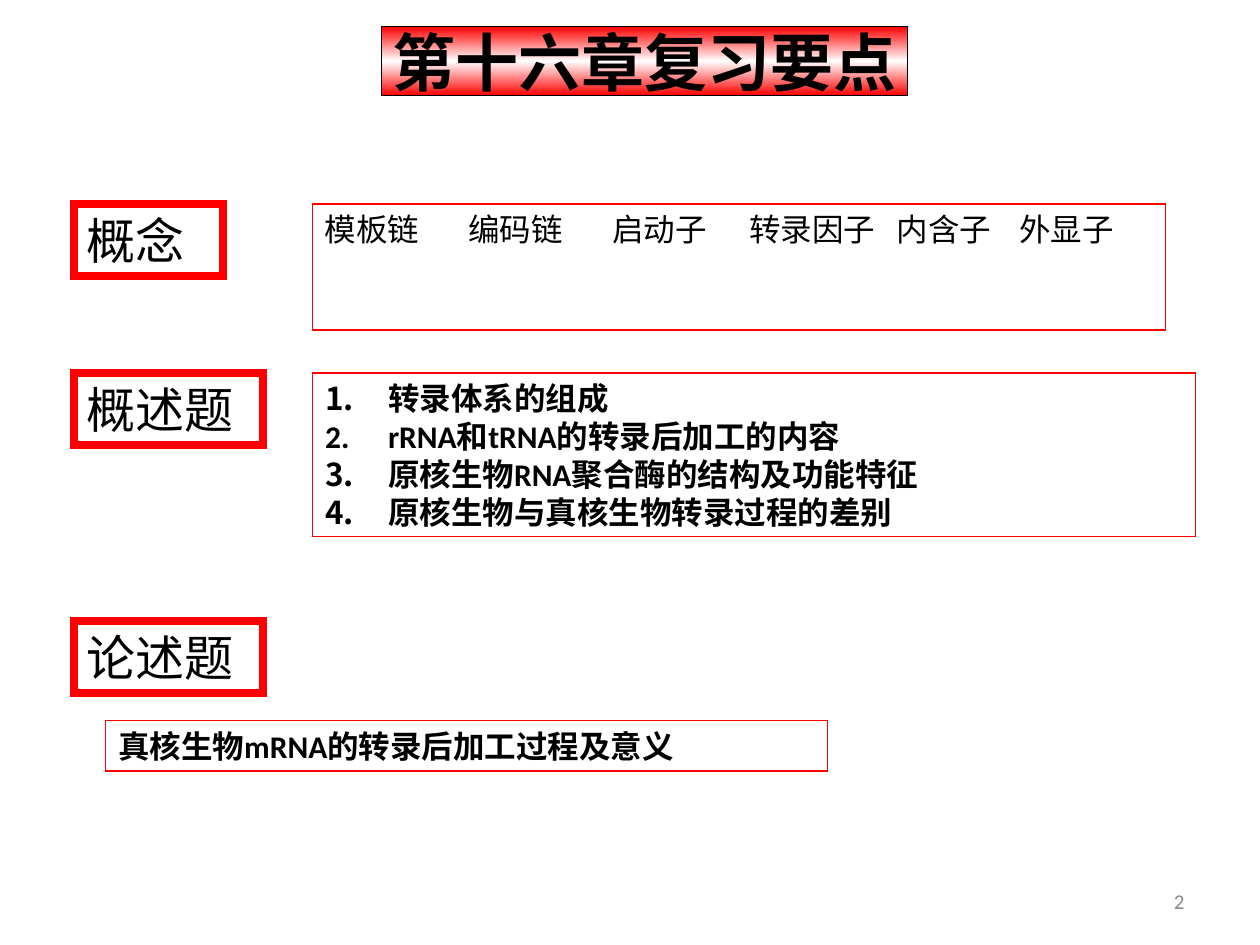
from copy import deepcopy

from lxml.etree import SubElement
from pptx import Presentation
from pptx.dml.color import RGBColor
from pptx.enum.text import MSO_ANCHOR, MSO_AUTO_SIZE, PP_ALIGN
from pptx.oxml.ns import qn
from pptx.util import Inches, Pt


def rgb(hex_color):
    return RGBColor.from_string(hex_color)


def write(box, text, place, size=18, color="000000", bold=False, align=PP_ALIGN.LEFT,
          anchor=MSO_ANCHOR.TOP, side_margin=0.1, border="FF0000", border_width=0.75):
    """Place and outline a box, then fill it with one paragraph per line of text."""
    box.left, box.top, box.width, box.height = [Inches(length) for length in place]
    if border:
        box.line.color.rgb = rgb(border)
        box.line.width = Pt(border_width)
        outline = box._element.spPr.find(qn("a:ln"))
        SubElement(outline, qn("a:miter"), lim="800000")
    frame = box.text_frame
    frame.auto_size = MSO_AUTO_SIZE.NONE
    frame.word_wrap = True
    frame.vertical_anchor = anchor
    frame.margin_left = frame.margin_right = Inches(side_margin)
    frame.margin_top = frame.margin_bottom = Inches(0.05)
    frame.text = text
    for paragraph in frame.paragraphs:
        paragraph.alignment = align
        paragraph.space_before = Pt(0)
        for run in paragraph.runs:
            run.font.name = "Calibri"
            run.font.size = Pt(size)
            run.font.bold = bold
            run.font.color.rgb = rgb(color)
    return frame.paragraphs


prs = Presentation()
prs.slide_width = Inches(10)
prs.slide_height = Inches(7.5)
slide = prs.slides.add_slide(prs.slide_layouts[1])
new_box = slide.shapes.add_textbox

# Chapter title on a red-white-red band, with no side margins so it stays on one line
title = slide.shapes.title
write(title, "第十六章复习要点", (3.03, 0.21, 4.17, 0.55), size=36, bold=True,
      align=PP_ALIGN.CENTER, anchor=MSO_ANCHOR.MIDDLE, side_margin=0, border="000000")
title.fill.gradient()
title.fill.gradient_angle = 90
for stop in title.fill.gradient_stops:
    stop.color.rgb = rgb("FF0000")
stop_list = title._element.spPr.find(qn("a:gradFill")).find(qn("a:gsLst"))
stop_list.insert(1, deepcopy(stop_list[0]))
middle = title.fill.gradient_stops[1]
middle.position = 0.5
middle.color.rgb = rgb("FFFFFF")

# Section labels
for label, top, width in [("概念", 1.62, 1.18), ("概述题", 2.96, 1.5), ("论述题", 4.93, 1.5)]:
    write(new_box(0, 0, 0, 0), label, (0.59, top, width, 0.57), size=28, border_width=4.5)

# Key terms, spaced by tab stops
terms = ["模板链", "编码链", "启动子", "转录因子", "内含子", "外显子"]
term_line = write(new_box(0, 0, 0, 0), "\t".join(terms), (2.48, 1.62, 6.77, 1))[0]
tab_list = SubElement(term_line._p.get_or_add_pPr(), qn("a:tabLst"))
for offset in [1.14, 2.28, 3.37, 4.54, 5.51]:
    SubElement(tab_list, qn("a:tab"), pos=str(Inches(offset)), algn="l")

# Numbered short questions
questions = [
    "转录体系的组成",
    "rRNA和tRNA的转录后加工的内容",
    "原核生物RNA聚合酶的结构及功能特征",
    "原核生物与真核生物转录过程的差别",
]
for question in write(slide.placeholders[1], "\n".join(questions),
                      (2.48, 2.96, 7.01, 1.3), bold=True):
    properties = question._p.get_or_add_pPr()
    properties.set("marL", str(Inches(0.5)))
    properties.set("indent", str(Inches(-0.5)))
    SubElement(properties, qn("a:buFont"), typeface="+mj-lt")
    SubElement(properties, qn("a:buAutoNum"), type="arabicPeriod")

# Essay question and page number
write(new_box(0, 0, 0, 0), "真核生物mRNA的转录后加工过程及意义", (0.84, 5.72, 5.73, 0.4),
      bold=True)
write(new_box(0, 0, 0, 0), "2", (7.17, 6.95, 2.33, 0.4), size=12, color="898989",
      align=PP_ALIGN.RIGHT, anchor=MSO_ANCHOR.MIDDLE, border=None)

prs.save("out.pptx")
